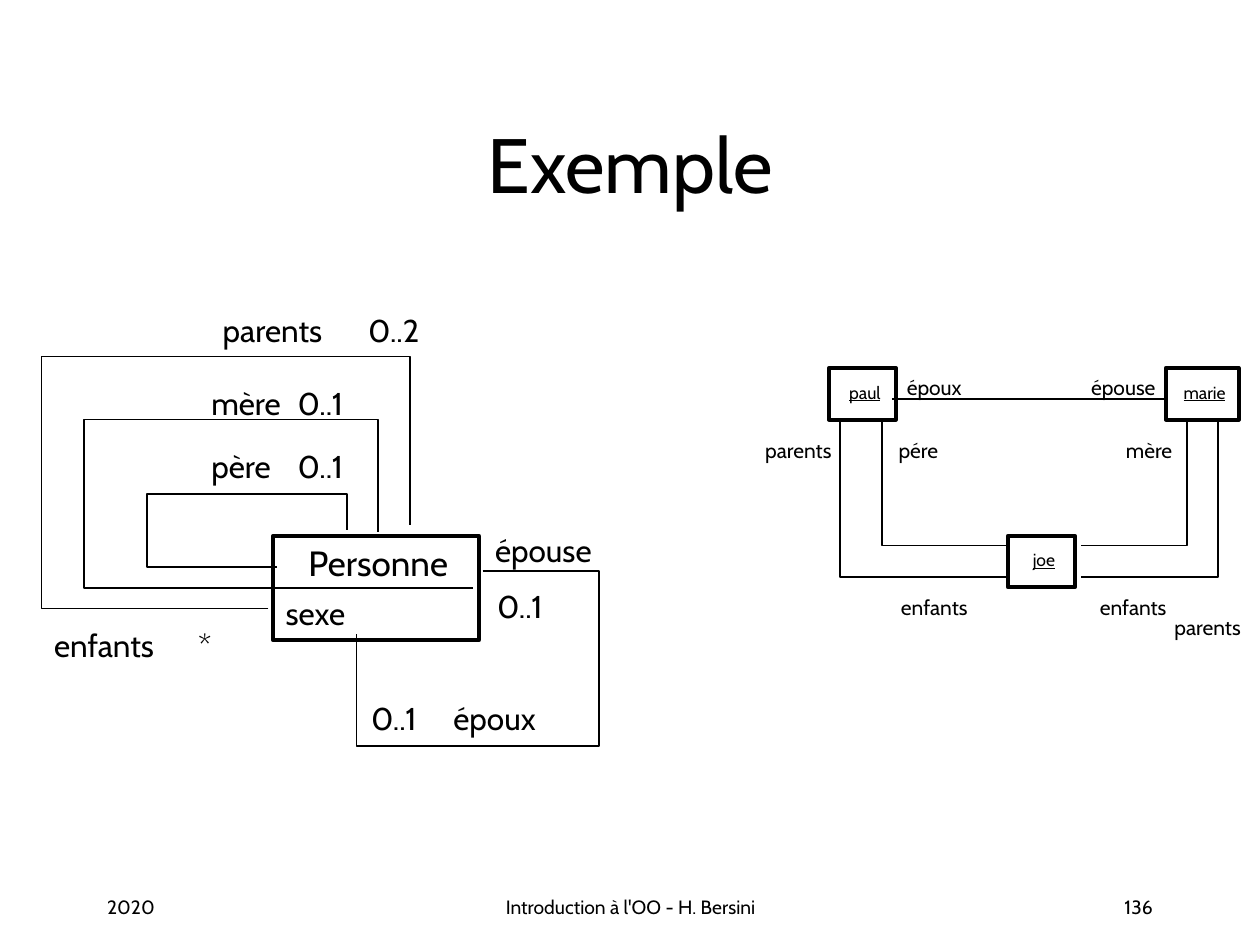
from pptx import Presentation
from pptx.dml.color import RGBColor
from pptx.enum.shapes import MSO_CONNECTOR, MSO_SHAPE
from pptx.enum.text import MSO_ANCHOR, PP_ALIGN
from pptx.oxml.ns import qn
from pptx.util import Cm, Pt

STRAIGHT = MSO_CONNECTOR.STRAIGHT
RECTANGLE = MSO_SHAPE.RECTANGLE
TOP, MIDDLE = MSO_ANCHOR.TOP, MSO_ANCHOR.MIDDLE
LEFT, CENTER, RIGHT = PP_ALIGN.LEFT, PP_ALIGN.CENTER, PP_ALIGN.RIGHT

FONT = "Cabin"
COLORS = {"ink": "000000", "background": "FFFFFF"}
ROLE_HEIGHT = {18: 1.02, 12: 0.76}


def color(name):
    return RGBColor.from_string(COLORS[name])


def add_label(slide, text, left, top, width, height, size,
              align=CENTER, anchor=TOP, underline=None):
    label = slide.shapes.add_textbox(Cm(left), Cm(top), Cm(width), Cm(height))
    frame = label.text_frame
    frame.word_wrap = True
    frame.vertical_anchor = anchor
    paragraph = frame.paragraphs[0]
    paragraph.text = text
    paragraph.alignment = align
    font = paragraph.font
    font.name = FONT
    font.size = Pt(size)
    font.underline = underline
    font.color.rgb = color("ink")


def add_role(slide, text, left, top, width, size=18, align=LEFT):
    add_label(slide, text, left, top, width, ROLE_HEIGHT[size], size, align)


def set_line(shape, width):
    shape.line.color.rgb = color("ink")
    shape.line.width = Pt(width)


def add_box(slide, left, top, width, height):
    box = slide.shapes.add_shape(RECTANGLE, Cm(left), Cm(top), Cm(width), Cm(height))
    box.shadow.inherit = False
    box.fill.background()
    set_line(box, 2.25)


def add_object(slide, name, left, top, width):
    add_box(slide, left, top, width, 1.04)
    add_label(slide, name, left + 0.09, top + 0.15, width - 0.08, 0.69, 10,
              underline=True)


def add_line(slide, left, right, y):
    line = slide.shapes.add_connector(STRAIGHT, Cm(left), Cm(y), Cm(right), Cm(y))
    set_line(line, 1)
    line._element.spPr.append(line._element.makeelement(qn("a:effectLst"), {}))


def add_path(slide, points):
    start, *rest = [(Cm(x), Cm(y)) for x, y in points]
    builder = slide.shapes.build_freeform(*start, scale=1.0)
    builder.add_line_segments(rest, close=False)
    path = builder.convert_to_shape()
    path.shadow.inherit = False
    path.fill.background()
    set_line(path, 1)


def add_loop(slide, start, far_x, far_y, end):
    add_path(slide, [start, (far_x, start[1]), (far_x, far_y), (end[0], far_y), end])


def add_class_diagram(slide):
    add_box(slide, 5.51, 10.8, 4.14, 2.11)
    add_label(slide, "Personne", 5.72, 10.8, 3.81, 1.09, 20)
    add_line(slide, 5.51, 9.53, 11.86)

    loops = [
        ((9.73, 11.51), 12.07, 15.04, (7.19, 12.78)),
        ((5.59, 11.43), 2.97, 9.96, (6.99, 10.69)),
        ((5.51, 11.86), 1.7, 8.46, (7.62, 10.72)),
        ((5.41, 12.27), 0.84, 7.19, (8.26, 10.59)),
    ]
    for loop in loops:
        add_loop(slide, *loop)

    roles = [
        ("époux", 8.89, 13.97, 3.68),
        ("épouse", 9.73, 10.59, 3.68),
        ("père", 4.01, 8.89, 2.11),
        ("mère", 4.01, 7.62, 2.11),
        ("parents", 4.24, 6.15, 2.97),
        ("enfants", 0.84, 12.5, 2.97),
        ("sexe", 5.51, 11.86, 4.01),
    ]
    for role in roles:
        add_role(slide, *role)

    multiplicities = [
        ("0..1", 9.53, 11.71),
        ("0..1", 6.99, 13.97),
        ("0..1", 5.51, 8.89),
        ("0..1", 5.51, 7.62),
        ("0..2", 6.99, 6.15),
        ("*", 3.18, 12.5),
    ]
    for text, left, top in multiplicities:
        add_role(slide, text, left, top, 1.9, align=CENTER)


def add_object_diagram(slide):
    add_object(slide, "paul", 16.71, 7.42, 1.35)
    add_object(slide, "marie", 23.5, 7.42, 1.47)
    add_object(slide, "joe", 20.32, 10.8, 1.35)
    add_line(slide, 17.98, 23.5, 8.05)

    parent_bottom = 8.46
    links = [
        (17.78, 11, 20.32),
        (16.94, 11.63, 20.32),
        (23.93, 11, 21.79),
        (24.56, 11.63, 21.79),
    ]
    for parent_x, child_y, child_x in links:
        add_path(slide, [(parent_x, parent_bottom), (parent_x, child_y),
                         (child_x, child_y)])

    roles = [
        ("époux", 17.78, 7.42, 2.11),
        ("épouse", 21.59, 7.42, 2.11),
        ("pére", 17.78, 8.69, 1.47),
        ("mère", 22.43, 8.69, 1.47),
        ("parents", 15.04, 8.69, 2.11),
        ("enfants", 17.78, 11.86, 2.11),
        ("enfants", 21.79, 11.86, 2.11),
        ("parents", 23.29, 12.27, 2.11),
    ]
    for role in roles:
        add_role(slide, *role, size=12, align=CENTER)


def add_footer(slide):
    footer = [
        ("2020", 1.91, 5.28, LEFT),
        ("Introduction à l'OO - H. Bersini", 8.69, 8.05, CENTER),
        ("136", 18.21, 5.28, RIGHT),
    ]
    for text, left, width, align in footer:
        add_label(slide, text, left, 17.93, width, 0.71, 11, align)


def main():
    presentation = Presentation()
    presentation.slide_width = Cm(25.4)
    presentation.slide_height = Cm(19.05)
    slide = presentation.slides.add_slide(presentation.slide_layouts[6])
    slide.background.fill.solid()
    slide.background.fill.fore_color.rgb = color("background")
    add_label(slide, "Exemple", 1.91, 1.7, 21.59, 3.18, 44, anchor=MIDDLE)
    add_class_diagram(slide)
    add_object_diagram(slide)
    add_footer(slide)
    presentation.save("out.pptx")


if __name__ == "__main__":
    main()
